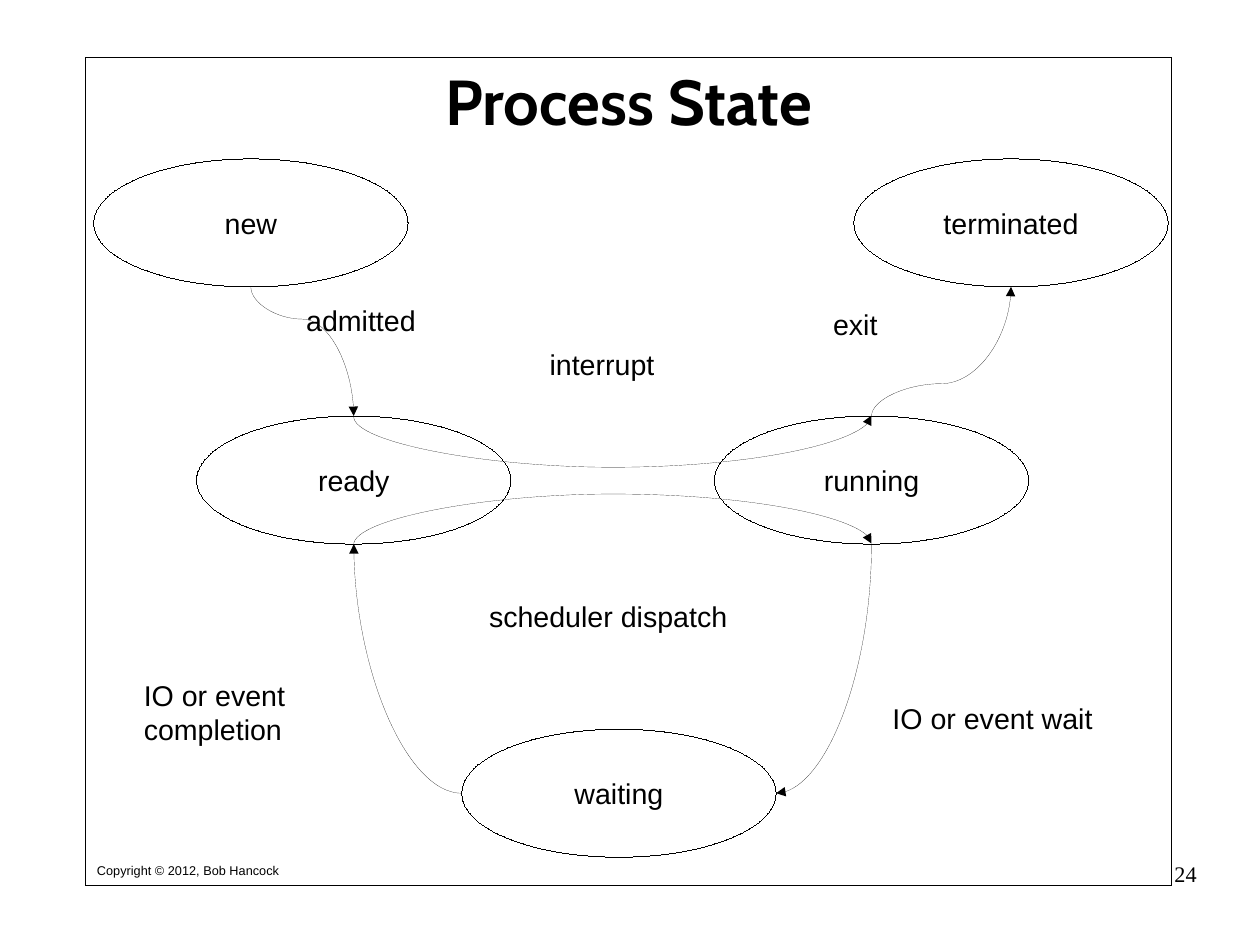
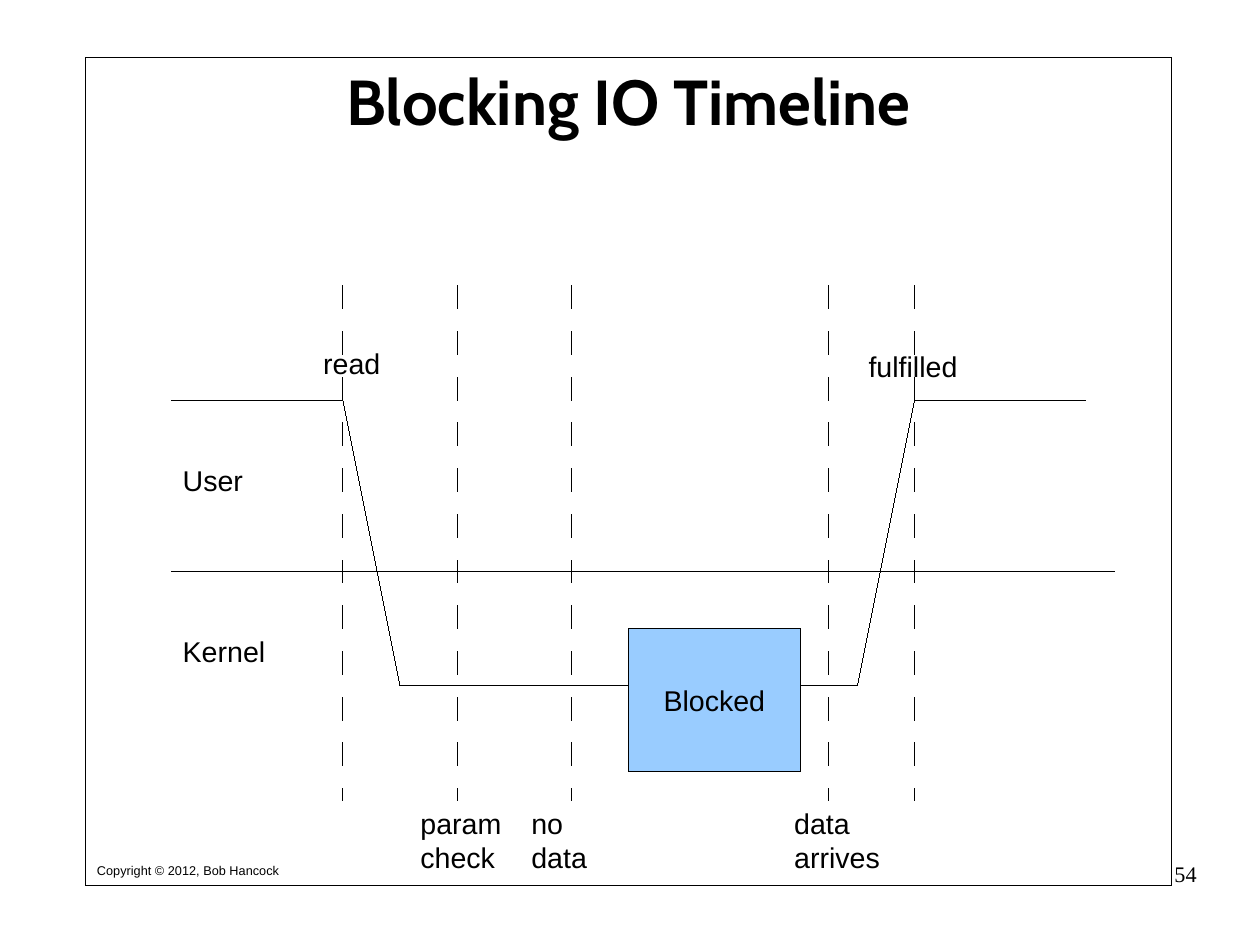
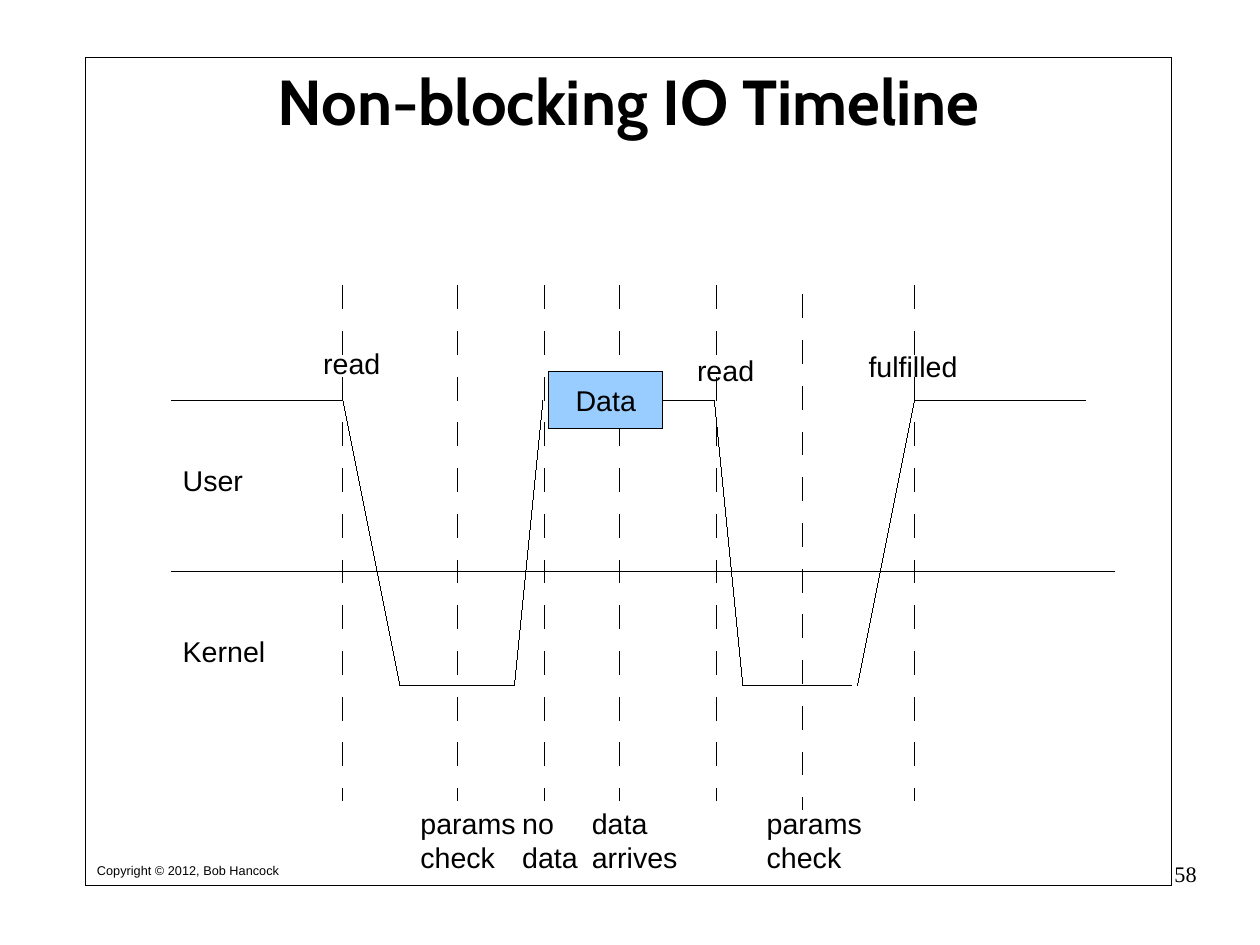
"""Build three slides on process states and on blocking and non-blocking IO."""
from dataclasses import dataclass

from lxml.etree import SubElement
from pptx import Presentation
from pptx.dml.color import RGBColor
from pptx.enum.shapes import MSO_CONNECTOR as Connector, MSO_SHAPE as Preset
from pptx.enum.text import MSO_ANCHOR as Anchor, PP_ALIGN as Align
from pptx.oxml.ns import qn
from pptx.util import Cm, Inches, Pt


@dataclass(frozen=True)
class Theme:
    ink: RGBColor = RGBColor(0, 0, 0)
    box: RGBColor = RGBColor(0x99, 0xCC, 0xFF)
    title: tuple = ("Cabin", 40, True)
    body: tuple = ("Arial", 18, False)
    footer: tuple = ("Arial", 8, False)
    number: tuple = ("Times New Roman", 14, False)


theme = Theme()
cell = Inches(1)
frame_area = (0.75, 0.5, 9.5, 7.25)
title_area = (0.75, 0.5, 9.5, 0.76)
footer_area = (0.75, 7.5, 2.2, 0.22)
number_area = (7.9, 7.53, 2.57, 0.57)
plain_insets = (0.1, 0.05)

presentation = Presentation()
presentation.slide_width = Cm(28)
presentation.slide_height = Cm(21)


def write(shape, text, style, align=Align.LEFT, anchor=Anchor.TOP, wrap=True, insets=plain_insets):
    frame = shape.text_frame
    frame.text = text
    side, edge = (int(inset * cell) for inset in insets)
    frame_format = {
        "word_wrap": wrap, "vertical_anchor": anchor,
        "margin_left": side, "margin_right": side, "margin_top": edge, "margin_bottom": edge,
    }
    for name, value in frame_format.items():
        setattr(frame, name, value)
    paragraph = frame.paragraphs[0]
    paragraph.alignment = align
    family, size, bold = style
    font = paragraph.runs[0].font
    for name, value in {"name": family, "size": Pt(size), "bold": bold}.items():
        setattr(font, name, value)
    font.color.rgb = theme.ink


def outline(shape, fill=None):
    shape.line.color.rgb = theme.ink
    shape.line._get_or_add_ln().set("w", "0")
    if hasattr(shape, "begin_x"):
        SubElement(shape._element.spPr, qn("a:effectLst"))
        return
    shape.shadow.inherit = False
    if fill is None:
        shape.fill.background()
    else:
        shape.fill.solid()
        shape.fill.fore_color.rgb = fill


states = {
    "new": (0.82, 1.39), "ready": (1.72, 3.64), "terminated": (7.47, 1.39),
    "running": (6.25, 3.64), "waiting": (4.04, 6.38),
}
state_width, state_height = 2.75, 1.12
anchors = {
    name: {
        "top": (left + state_width / 2, top),
        "bottom": (left + state_width / 2, top + state_height),
        "left": (left, top + state_height / 2),
        "right": (left + state_width, top + state_height / 2),
    }
    for name, (left, top) in states.items()
}
transitions = [
    ("ready", "bottom", "running", "bottom", 270, "", 45),
    ("ready", "top", "running", "top", 270, "", -45),
    ("new", "bottom", "ready", "top", 270, "H", 0.25),
    ("running", "top", "terminated", "bottom", 90, "HV", 0.25),
    ("running", "bottom", "waiting", "right", 90, "", None),
    ("waiting", "left", "ready", "bottom", 180, "", None),
]
state_labels = [
    ("admitted", 2.58, 2.6, 1.25), ("interrupt", 4.71, 2.99, 1.25), ("exit", 7.19, 2.64, 0.8),
    ("IO or event completion", 1.16, 5.88, 1.8), ("IO or event wait", 7.71, 6.08, 2.25),
    ("scheduler dispatch", 4.18, 5.19, 2.75),
]

user_row, border_row, kernel_row = 3.5, 5, 6
dash_top, dash_height = 2.5, 4.5
shared_lines = [
    (1.5, user_row, 3, user_row), (9.5, user_row, 8, user_row),
    (3, user_row, 3.5, kernel_row), (8, user_row, 7.5, kernel_row),
    (1.5, border_row, 9.75, border_row),
]
shared_labels = [
    ("User", 1.5, 4, 0.73), ("Kernel", 1.5, 5.5, 0.92),
    ("read", 2.73, 2.98, 0.7), ("fulfilled", 7.5, 3, 0.98),
]
blocking = {
    "lines": [(3.5, kernel_row, 7.5, kernel_row)],
    "dashes": [(column, dash_top) for column in (3, 4, 5, 7.25, 8)],
    "labels": [("data arrives", 6.85, 7, 1.1), ("param check", 3.58, 7, 1.1), ("no data", 4.55, 7, 0.95)],
    "box": ("Blocked", 5.5, 5.5, 1.5, 1.25),
    "exit": None,
}
non_blocking = {
    "lines": [
        (3.5, kernel_row, 4.5, kernel_row), (6.5, kernel_row, 7.45, kernel_row),
        (4.5, kernel_row, 4.75, user_row), (6.5, kernel_row, 6.25, user_row),
    ],
    "dashes": [(column, dash_top) for column in (3, 4, 4.76, 5.42, 6.27, 8)] + [(7.02, 2.58)],
    "labels": [
        ("data arrives", 5.08, 7, 1.1), ("params check", 3.58, 7, 1.1), ("no data", 4.47, 7, 0.9),
        ("params check", 6.61, 7, 1.1), ("read", 6, 3.04, 0.7),
    ],
    "box": ("Data", 4.8, 3.25, 1, 0.5),
    "exit": (6.25, user_row),
}

pages = [
    ("Process State", "24", None),
    ("Blocking IO Timeline", "54", blocking),
    ("Non-blocking IO Timeline", "58", non_blocking),
]

for heading, number, timeline in pages:
    slide = presentation.slides.add_slide(presentation.slide_layouts[5])
    shapes = slide.shapes
    title = shapes.title
    for name, value in zip(("left", "top", "width", "height"), title_area):
        setattr(title, name, int(value * cell))
    write(title, heading, theme.title, Align.CENTER, Anchor.MIDDLE, insets=(0, 0))
    outline(shapes.add_shape(Preset.RECTANGLE, *(int(value * cell) for value in frame_area)))
    footer = shapes.add_textbox(*(int(value * cell) for value in footer_area))
    write(footer, "Copyright © 2012, Bob Hancock", theme.footer)
    page_number = shapes.add_textbox(*(int(value * cell) for value in number_area))
    write(page_number, number, theme.number, Align.RIGHT, insets=(0, 0))

    if timeline is None:
        labels = state_labels
        for name, (left, top) in states.items():
            area = (left, top, state_width, state_height)
            ellipse = shapes.add_shape(Preset.OVAL, *(int(value * cell) for value in area))
            outline(ellipse)
            write(ellipse, name, theme.body, Align.CENTER, Anchor.MIDDLE, wrap=False)
        for source, source_side, target, target_side, rotation, flips, bend in transitions:
            (x1, y1), (x2, y2) = anchors[source][source_side], anchors[target][target_side]
            width, height = abs(x2 - x1), abs(y2 - y1)
            if rotation != 180:
                width, height = max(height, 0.01), width
            left, top = (x1 + x2 - width) / 2, (y1 + y2 - height) / 2
            corners = (left, top, left + width, top + height)
            curve = shapes.add_connector(Connector.CURVE, *(int(value * cell) for value in corners))
            outline(curve)
            SubElement(curve.line._get_or_add_ln(), qn("a:tailEnd"), type="triangle")
            transform = curve._element.spPr.find(qn("a:xfrm"))
            transform.set("rot", str(rotation * 60000))
            for axis in flips:
                transform.set("flip" + axis, "1")
            geometry = curve._element.spPr.find(qn("a:prstGeom"))
            if bend is None:
                geometry.set("prst", "curvedConnector2")
            else:
                guides = geometry.find(qn("a:avLst"))
                if guides is None:
                    guides = SubElement(geometry, qn("a:avLst"))
                SubElement(guides, qn("a:gd"), name="adj1", fmla=f"val {int(bend * 100000)}")
    else:
        labels = shared_labels + timeline["labels"]
        for ends in shared_lines + timeline["lines"]:
            outline(shapes.add_connector(Connector.STRAIGHT, *(int(value * cell) for value in ends)))
        for column, row in timeline["dashes"]:
            ends = (column, row, column, row + dash_height)
            marker = shapes.add_connector(Connector.STRAIGHT, *(int(value * cell) for value in ends))
            outline(marker)
            pattern = SubElement(marker.line._get_or_add_ln(), qn("a:custDash"))
            SubElement(pattern, qn("a:ds"), d="1885000", sp="1885000")
        caption, *area = timeline["box"]
        box = shapes.add_shape(Preset.RECTANGLE, *(int(value * cell) for value in area))
        outline(box, theme.box)
        write(box, caption, theme.body, Align.CENTER, Anchor.MIDDLE, wrap=False)
        if timeline["exit"]:
            column, row = (int(value * cell) for value in timeline["exit"])
            link = shapes.add_connector(Connector.STRAIGHT, box.left + box.width, row, column, row)
            link.begin_connect(box, 3)
            outline(link)

    for text, left, top, width in labels:
        area = (left, top, width, 0.66 if top == 7 else 0.38)
        label = shapes.add_textbox(*(int(value * cell) for value in area))
        write(label, text, theme.body, wrap=" " in text)

presentation.save("out.pptx")
